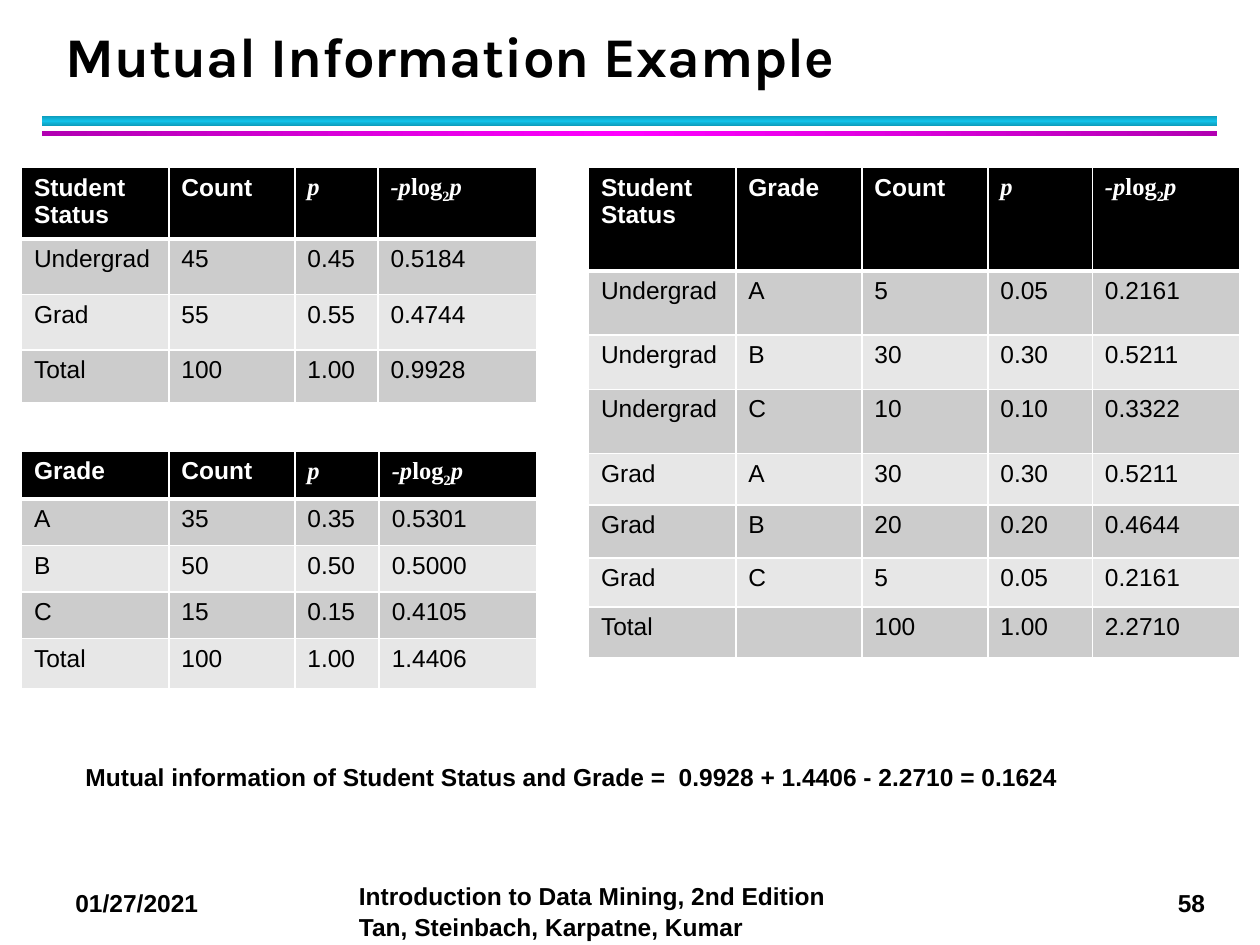
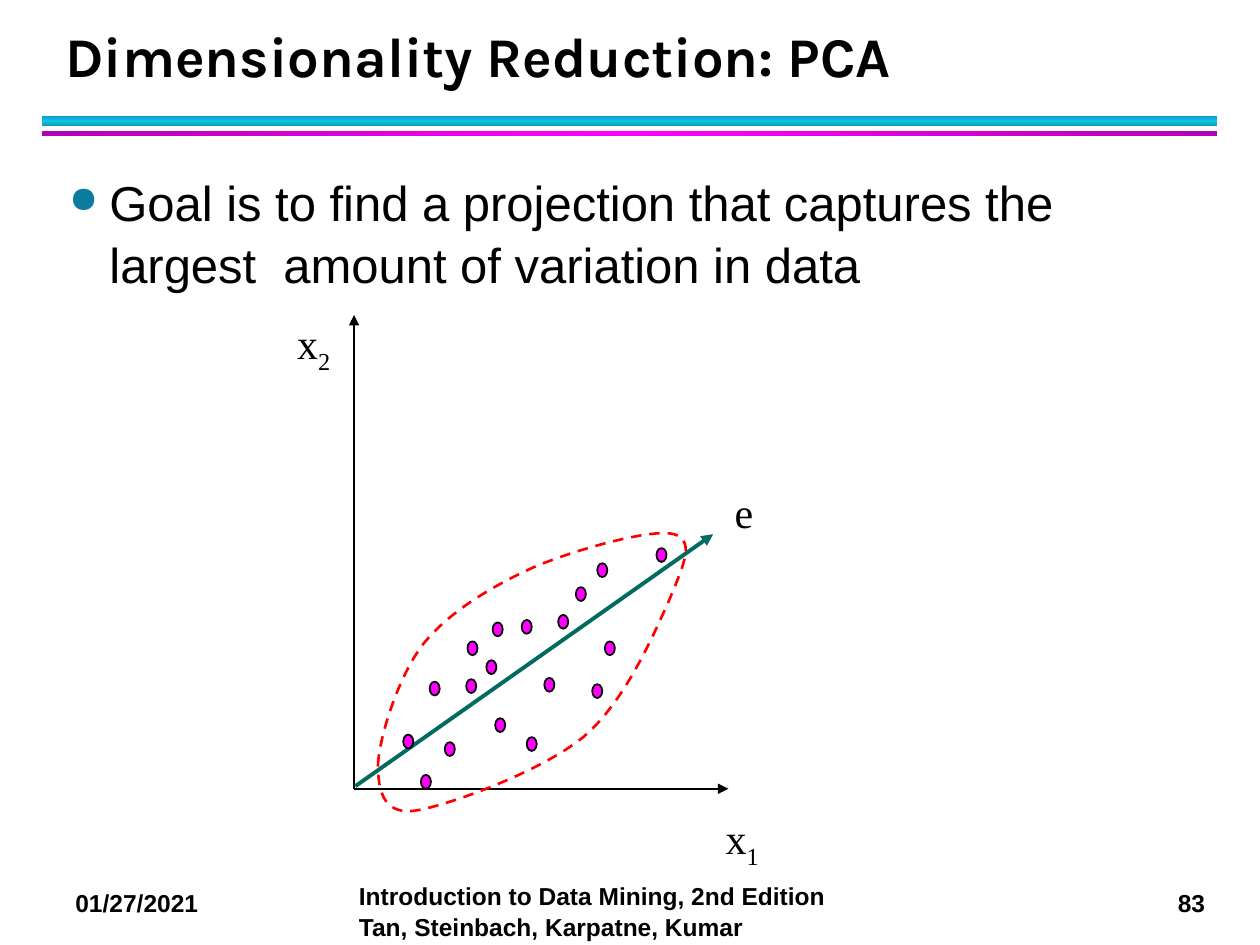
"""Build two data mining slides: mutual information tables and a PCA sketch."""
import copy
import dataclasses
import typing

import lxml.etree
import pptx
import pptx.dml.color
import pptx.enum.dml
import pptx.enum.shapes
import pptx.enum.text
import pptx.oxml.ns
import pptx.util

Inches = pptx.util.Inches
Pt = pptx.util.Pt
RGB = pptx.dml.color.RGBColor
Align = pptx.enum.text.PP_ALIGN
Anchor = pptx.enum.text.MSO_ANCHOR
Shape = pptx.enum.shapes.MSO_SHAPE
qn = pptx.oxml.ns.qn

BLACK = RGB(0x00, 0x00, 0x00)
WHITE = RGB(0xFF, 0xFF, 0xFF)
DARK = RGB(0xCC, 0xCC, 0xCC)
LIGHT = RGB(0xE7, 0xE7, 0xE7)
CYAN = RGB(0x12, 0xC2, 0xE9)
AQUA = RGB(0x0E, 0x9B, 0xBA)
PINK = RGB(0xFF, 0x00, 0xFF)
PLUM = RGB(0xB2, 0x00, 0xB2)
TEAL = RGB(0x00, 0x6B, 0x61)
RED = RGB(0xFF, 0x00, 0x00)
BULLET = RGB(0x0C, 0x7B, 0x9C)
SANS, SERIF, HEAD = "Arial", "Times New Roman", "Karla"

Point = tuple[float, float]


@dataclasses.dataclass(frozen=True)
class Bit:
    """A piece of text in one style."""
    text: str
    slant: bool = False
    sub: bool = False


@dataclasses.dataclass(frozen=True)
class Style:
    """The look of a text."""
    size: float = 14
    font: str = SANS
    bold: bool = False
    color: RGB = BLACK


@dataclasses.dataclass(frozen=True)
class Box:
    """A place on the slide, in inches."""
    left: float
    top: float
    width: float
    height: float

    def emu(self) -> list[int]:
        """Give the four lengths to a shape call."""
        return [Inches(x) for x in dataclasses.astuple(self)]


@dataclasses.dataclass(frozen=True)
class Band:
    """A bar that shades from its edges to its middle."""
    box: Box
    edge: RGB
    mid: RGB
    angle: int


@dataclasses.dataclass(frozen=True)
class Grid:
    """A table with its sizes and rows of text."""
    left: float
    top: float
    cols: list[float]
    rows: list[float]
    heads: list[str]
    body: list[str]


@dataclasses.dataclass(frozen=True)
class Arrow:
    """A line with a head at its end."""
    start: Point
    end: Point
    color: RGB = BLACK
    width: float = 1


@dataclasses.dataclass(frozen=True)
class Label:
    """A name in the sketch."""
    box: Box
    bits: list[Bit]


BOLD = Style(bold=True)
BANDS = [Band(Box(0.33, 0.92, 9.33, 0.08), AQUA, CYAN, 90),
         Band(Box(0.33, 1.04, 9.33, 0.04), PLUM, PINK, 0)]
MATH = {"p": [Bit("p", True)],
        "-plog2p": [Bit("-p", True), Bit("log"), Bit("2", sub=True), Bit("p", True)]}
GRIDS = [
    Grid(0.17, 1.33, [1.17, 1, 0.66, 1.26], [0.44] * 3 + [0.42],
         ["Student Status", "Count", "p", "-plog2p"],
         ["Undergrad|45|0.45|0.5184", "Grad|55|0.55|0.4744", "Total|100|1.00|0.9928"]),
    Grid(0.17, 3.58, [1.17, 1, 0.67, 1.25], [0.38] + [0.37] * 3 + [0.4],
         ["Grade", "Count", "p", "-plog2p"],
         ["A|35|0.35|0.5301", "B|50|0.50|0.5000", "C|15|0.15|0.4105",
          "Total|100|1.00|1.4406"]),
    Grid(4.67, 1.33, [1.17, 1, 1, 0.83, 1.17],
         [0.82, 0.51, 0.43, 0.51, 0.41, 0.42, 0.39, 0.39],
         ["Student Status", "Grade", "Count", "p", "-plog2p"],
         ["Undergrad|A|5|0.05|0.2161", "Undergrad|B|30|0.30|0.5211",
          "Undergrad|C|10|0.10|0.3322", "Grad|A|30|0.30|0.5211",
          "Grad|B|20|0.20|0.4644", "Grad|C|5|0.05|0.2161", "Total||100|1.00|2.2710"]),
]
ARROWS = [Arrow((2.81, 6.26), (2.81, 2.5)), Arrow((2.81, 6.26), (5.78, 6.26)),
          Arrow((2.82, 6.24), (5.66, 4.24), TEAL, 2.25)]
DOTS = [(3.41, 5.41), (3.71, 5.09), (3.2, 5.83), (3.86, 5.24), (3.7, 5.39), (4.32, 5.38),
        (4.18, 5.85), (3.93, 5.7), (4.14, 4.92), (4.8, 5.09), (5.21, 4.35), (3.53, 5.89),
        (4.43, 4.88), (4.74, 4.47), (3.91, 4.94), (4.57, 4.66), (4.7, 5.43), (3.34, 6.15)]
CLOUD = [(3, 6.07), (3.01, 5.85), (3.16, 5.37), (3.36, 5.11), (3.57, 4.85), (3.91, 4.65),
         (4.24, 4.5), (4.57, 4.36), (5.18, 4.19), (5.35, 4.24), (5.53, 4.29), (5.41, 4.52),
         (5.3, 4.79), (5.18, 5.05), (4.96, 5.57), (4.63, 5.85), (4.3, 6.12), (3.59, 6.38),
         (3.32, 6.43), (3.05, 6.48), (3, 6.29), (3, 6.07)]
LABELS = [Label(Box(2.25, 2.5, 0.48, 0.5), [Bit("x"), Bit("2", sub=True)]),
          Label(Box(5.65, 6.43, 0.48, 0.5), [Bit("x"), Bit("1", sub=True)]),
          Label(Box(5.73, 3.81, 0.35, 0.5), [Bit("e")])]


def write(para: typing.Any, bits: list[Bit], style: Style) -> None:
    """Fill a paragraph with styled runs."""
    for bit in bits:
        run = para.add_run()
        run.text = bit.text
        font = run.font
        font.name, font.size = style.font, Pt(style.size)
        font.bold, font.italic = style.bold, bit.slant
        font.color.rgb = style.color
        if bit.sub:
            run._r.get_or_add_rPr().set("baseline", "-25000")


def add_text(slide: typing.Any, box: Box, bits: list[Bit], style: Style,
             wrap: bool = True, anchor: Anchor = Anchor.TOP) -> typing.Any:
    """Add a text box and return its paragraph."""
    frame = slide.shapes.add_textbox(*box.emu()).text_frame
    frame.word_wrap, frame.vertical_anchor = wrap, anchor
    para = frame.paragraphs[0]
    write(para, bits, style)
    return para


def add_band(slide: typing.Any, band: Band) -> None:
    """Draw a shaded bar."""
    bar = slide.shapes.add_shape(Shape.RECTANGLE, *band.box.emu())
    bar.shadow.inherit = False
    bar.line.fill.background()
    bar.fill.gradient()
    bar.fill.gradient_angle = band.angle
    stops = next(bar._element.spPr.iter(qn("a:gsLst")))
    stops.append(copy.deepcopy(stops[0]))
    for stop, color, place in zip(bar.fill.gradient_stops,
                                  [band.edge, band.mid, band.edge], [0, 0.5, 1]):
        stop.color.rgb, stop.position = color, place


def add_base(deck: typing.Any, title: str, page: int) -> typing.Any:
    """Add a slide with its bands, title and footer."""
    slide = deck.slides.add_slide(deck.slide_layouts[6])
    for band in BANDS:
        add_band(slide, band)
    add_text(slide, Box(0.5, 7, 1.33, 0.34), [Bit("01/27/2021")], BOLD)
    add_text(slide, Box(9.25, 7, 0.44, 0.34), [Bit(str(page))], BOLD, wrap=False)
    credit = "Introduction to Data Mining, 2nd Edition Tan, Steinbach, Karpatne, Kumar"
    add_text(slide, Box(2.75, 6.93, 4.08, 0.57), [Bit(credit)], BOLD).line_spacing = 1.06
    para = add_text(slide, Box(0.42, 0.17, 9.06, 0.58), [Bit(title)],
                    Style(32, HEAD, True), anchor=Anchor.BOTTOM)
    para.line_spacing = Pt(36)
    return slide


def add_edge(cell: typing.Any, sides: dict[str, float]) -> None:
    """Give a cell white borders of the widths named by side."""
    props = cell._tc.get_or_add_tcPr()
    for place, (side, width) in enumerate(sides.items()):
        line = lxml.etree.Element(qn(f"a:ln{side}"), w=str(Pt(width)))
        fill = lxml.etree.SubElement(line, qn("a:solidFill"))
        lxml.etree.SubElement(fill, qn("a:srgbClr"), val=str(WHITE))
        props.insert(place, line)


def add_grid(slide: typing.Any, grid: Grid) -> None:
    """Draw a table with a black head and grey bands."""
    box = Box(grid.left, grid.top, sum(grid.cols), sum(grid.rows))
    table = slide.shapes.add_table(len(grid.rows), len(grid.cols), *box.emu()).table
    table.first_row = table.horz_banding = False
    for col, width in zip(table.columns, grid.cols):
        col.width = Inches(width)
    for row, height in zip(table.rows, grid.rows):
        row.height = Inches(height)
    for r, texts in enumerate([grid.heads] + [line.split("|") for line in grid.body]):
        for c, text in enumerate(texts):
            cell = table.cell(r, c)
            cell.fill.solid()
            cell.fill.fore_color.rgb = BLACK if r == 0 else (LIGHT, DARK)[r % 2]
            add_edge(cell, {"L": 1, "R": 1, "T": 3 if r == 1 else 1, "B": 3 if r == 0 else 1})
            style = Style()
            if r == 0:
                style = Style(font=SERIF if text in MATH else SANS, bold=True, color=WHITE)
            write(cell.text_frame.paragraphs[0], MATH.get(text, [Bit(text)]), style)


def add_arrow(slide: typing.Any, arrow: Arrow) -> None:
    """Draw a straight arrow."""
    ends = [Inches(x) for x in arrow.start + arrow.end]
    line = slide.shapes.add_connector(pptx.enum.shapes.MSO_CONNECTOR.STRAIGHT, *ends)
    line.line.color.rgb, line.line.width = arrow.color, Pt(arrow.width)
    lxml.etree.SubElement(line.line._get_or_add_ln(), qn("a:tailEnd"), type="triangle")
    lxml.etree.SubElement(line._element.spPr, qn("a:effectLst"))


def add_dot(slide: typing.Any, spot: Point) -> None:
    """Draw one data point."""
    dot = slide.shapes.add_shape(Shape.OVAL, *Box(*spot, 0.08, 0.11).emu())
    dot.shadow.inherit = False
    dot.fill.solid()
    dot.fill.fore_color.rgb = PINK
    dot.line.color.rgb, dot.line.width = BLACK, Pt(1)


def trace(knots: list[Point], steps: int = 16) -> list[tuple[int, int]]:
    """Sample a chain of cubic curves."""
    spots = [knots[0]]
    for i in range(0, len(knots) - 1, 3):
        for t in (n / steps for n in range(1, steps + 1)):
            parts = [(1 - t) ** 3, 3 * t * (1 - t) ** 2, 3 * t * t * (1 - t), t ** 3]
            spots.append(tuple(sum(w * knot[axis] for w, knot in zip(parts, knots[i:i + 4]))
                               for axis in (0, 1)))
    return [(Inches(x), Inches(y)) for x, y in spots]


def add_cloud(slide: typing.Any) -> None:
    """Draw the dashed outline round the data."""
    spots = trace(CLOUD)
    pen = slide.shapes.build_freeform(*spots[0])
    pen.add_line_segments(spots[1:], close=True)
    cloud = pen.convert_to_shape()
    cloud.shadow.inherit = False
    cloud.fill.background()
    cloud.line.color.rgb, cloud.line.width = RED, Pt(1.5)
    cloud.line.dash_style = pptx.enum.dml.MSO_LINE.DASH


def add_bullet(para: typing.Any) -> None:
    """Give a paragraph a round bullet and a hanging indent."""
    props = para._p.get_or_add_pPr()
    props.set("marL", str(Inches(0.32)))
    props.set("indent", str(-Inches(0.32)))
    color = lxml.etree.SubElement(props, qn("a:buClr"))
    lxml.etree.SubElement(color, qn("a:srgbClr"), val=str(BULLET))
    lxml.etree.SubElement(props, qn("a:buSzPct"), val="75000")
    lxml.etree.SubElement(props, qn("a:buChar"), char="●")


def add_info(deck: typing.Any) -> None:
    """Build the mutual information slide."""
    slide = add_base(deck, "Mutual Information Example", 58)
    for grid in GRIDS:
        add_grid(slide, grid)
    total = ("Mutual information of Student Status and Grade =  "
             "0.9928 + 1.4406 - 2.2710 = 0.1624")
    add_text(slide, Box(0.58, 6, 8.75, 0.34), [Bit(total)], BOLD)


def add_pca(deck: typing.Any) -> None:
    """Build the PCA slide."""
    slide = add_base(deck, "Dimensionality Reduction: PCA", 83)
    goal = "Goal is to find a projection that captures the largest  amount of variation in data"
    para = add_text(slide, Box(0.45, 1.29, 9.1, 1.2), [Bit(goal)], Style(28))
    add_bullet(para)
    para.line_spacing = 1.06
    for arrow in ARROWS:
        add_arrow(slide, arrow)
    for spot in DOTS:
        add_dot(slide, spot)
    add_cloud(slide)
    for label in LABELS:
        para = add_text(slide, label.box, label.bits, Style(24, SERIF), False, Anchor.MIDDLE)
        para.alignment = Align.CENTER


def main() -> None:
    """Build and save the deck."""
    deck = pptx.Presentation()
    deck.slide_width, deck.slide_height = Inches(10), Inches(7.5)
    add_info(deck)
    add_pca(deck)
    deck.save("out.pptx")


if __name__ == "__main__":
    main()
